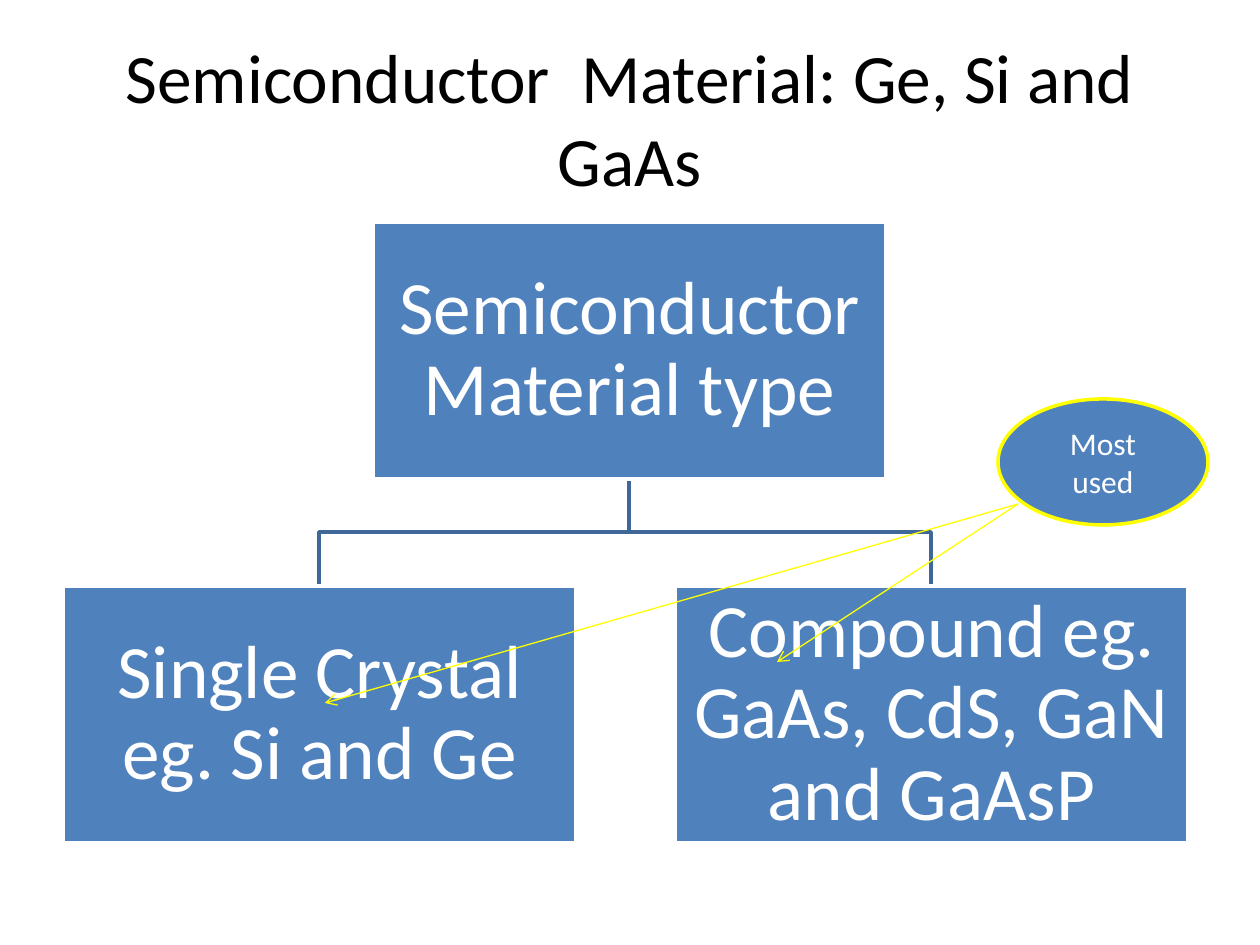
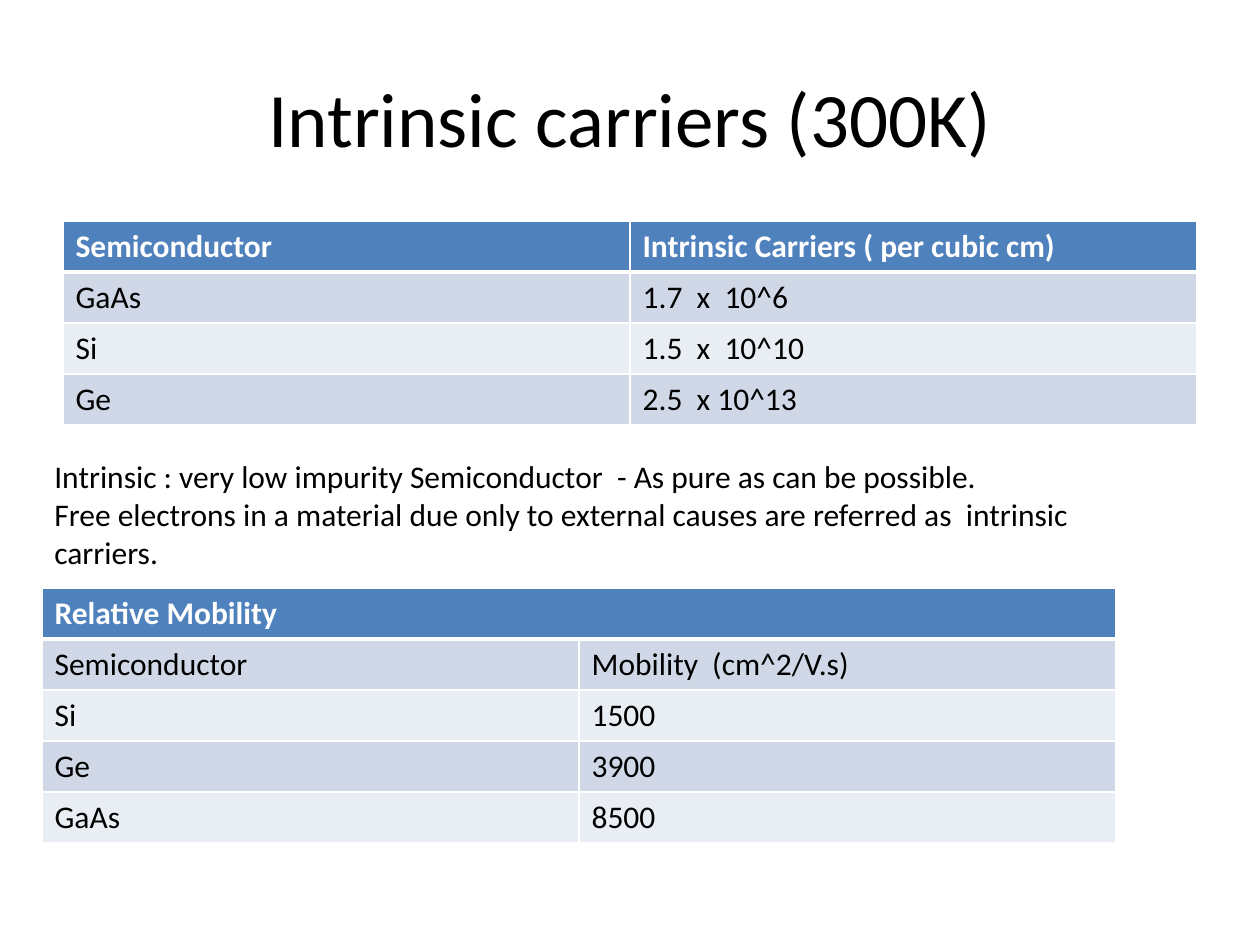
"""Build two slides on semiconductor material types and intrinsic carriers."""
from dataclasses import dataclass

from pptx import Presentation
from pptx.dml.color import RGBColor as RGB
from pptx.enum.shapes import MSO_CONNECTOR as LINK, MSO_SHAPE as SHAPE
from pptx.enum.text import MSO_ANCHOR as ANCHOR, PP_ALIGN as ALIGN
from pptx.oxml import parse_xml
from pptx.oxml.ns import nsdecls
from pptx.util import Pt


@dataclass(frozen=True)
class Theme:
    font: str = "Calibri"
    black: RGB = RGB(0, 0, 0)
    white: RGB = RGB(255, 255, 255)
    blue: RGB = RGB(0x4F, 0x81, 0xBD)
    navy: RGB = RGB(0x3F, 0x67, 0x97)
    yellow: RGB = RGB(255, 255, 0)
    bands: tuple = (RGB(0xE9, 0xED, 0xF4), RGB(0xD0, 0xD8, 0xE8))
    node: int = 43
    body: int = 18


look = Theme()
PX = 914400 / 126


def px(*nums):
    return [round(n * PX) for n in nums]


def write(frame, lines, size, color, align=ALIGN.LEFT, bold=False, pitch=None):
    frame.word_wrap = True
    for i, line in enumerate(lines):
        para = frame.add_paragraph() if i else frame.paragraphs[0]
        para.alignment = align
        para.line_spacing = pitch
        run = para.add_run()
        run.text = line
        run.font.name = look.font
        run.font.size = Pt(size)
        run.font.bold = bold
        run.font.color.rgb = color


deck = Presentation()
deck.slide_width, deck.slide_height = px(1260, 945)

titles = [
    ("Semiconductor  Material: Ge, Si and GaAs", 39.6),
    ("Intrinsic carriers (300K)", 44),
]
slides = []
for title, size in titles:
    slide = deck.slides.add_slide(deck.slide_layouts[6])
    frame = slide.shapes.add_textbox(*px(63, 38, 1134, 158)).text_frame
    frame.vertical_anchor = ANCHOR.MIDDLE
    write(frame, [title], size, look.black, ALIGN.CENTER)
    slides.append(slide)

types, carriers = (slide.shapes for slide in slides)

wide, high = 513, 257
root = (373, 222, "Semiconductor Material type")
kids = [
    (675, 586, "Compound eg. GaAs, CdS, GaN and GaAsP"),
    (63, 586, "Single Crystal eg. Si and Ge"),
]
stem, foot = root[0] + wide // 2, root[1] + high
for left, top, _ in kids:
    end, mid = left + wide // 2, (foot + top) // 2
    path = types.build_freeform(stem, foot, scale=PX)
    path.add_line_segments([(stem, mid), (end, mid), (end, top)], close=False)
    elbow = path.convert_to_shape()
    elbow.shadow.inherit = False
    elbow.fill.background()
    elbow.line.color.rgb = look.navy
    elbow.line.width = Pt(2)

for left, top, text in [root, *kids]:
    box = types.add_shape(SHAPE.RECTANGLE, *px(left, top, wide, high))
    box.shadow.inherit = False
    box.fill.solid()
    box.fill.fore_color.rgb = look.blue
    box.line.color.rgb = look.white
    box.line.width = Pt(2)
    frame = box.text_frame
    frame.vertical_anchor = ANCHOR.MIDDLE
    for side in ("left", "right", "top", "bottom"):
        setattr(frame, f"margin_{side}", px(4)[0])
    write(frame, [text], look.node, look.white, ALIGN.CENTER, pitch=0.9)

for tip in [(777, 662), (325, 703)]:
    arrow = types.add_connector(LINK.STRAIGHT, *px(1018, 504, *tip))
    arrow.line.color.rgb = look.yellow
    arrow.line.width = Pt(0.75)
    head = parse_xml(f'<a:tailEnd {nsdecls("a")} type="arrow"/>')
    arrow.line._get_or_add_ln().append(head)
    arrow._element.spPr.append(parse_xml(f'<a:effectLst {nsdecls("a")}/>'))

oval = types.add_shape(SHAPE.OVAL, *px(998, 399, 210, 126))
oval.shadow.inherit = False
oval.fill.solid()
oval.fill.fore_color.rgb = look.blue
oval.line.color.rgb = look.yellow
oval.line.width = Pt(2)
oval.text_frame.vertical_anchor = ANCHOR.MIDDLE
write(oval.text_frame, ["Most used"], look.body, look.white, ALIGN.CENTER)

notes = [
    "Intrinsic : very low impurity Semiconductor  - As pure as can be possible.",
    "Free electrons in a material due only to external causes are referred as  intrinsic carriers.",
]
frame = carriers.add_textbox(*px(42, 451, 1071, 127)).text_frame
write(frame, notes, look.body, look.black)

tables = [
    (63, 221, 567, [
        ("Semiconductor", "Intrinsic Carriers ( per cubic cm)"),
        ("GaAs", "1.7  x  10^6"),
        ("Si", "1.5  x  10^10"),
        ("Ge", "2.5  x 10^13"),
    ]),
    (42, 588, 537, [
        ("Relative Mobility",),
        ("Semiconductor", "Mobility  (cm^2/V.s)"),
        ("Si", "1500"),
        ("Ge", "3900"),
        ("GaAs", "8500"),
    ]),
]
for left, top, col, rows in tables:
    area = px(left, top, 2 * col, 51 * len(rows))
    grid = carriers.add_table(len(rows), 2, *area).table
    if len(rows[0]) == 1:
        grid.cell(0, 0).merge(grid.cell(0, 1))
    for r, row in enumerate(rows):
        for c in range(2):
            cell = grid.cell(r, c)
            edges = {"L": 1, "R": 1, "T": 3 if r == 1 else 1, "B": 1 if r else 3}
            for side, width in edges.items():
                cell._tc.get_or_add_tcPr().append(parse_xml(
                    f'<a:ln{side} {nsdecls("a")} w="{Pt(width)}"><a:solidFill>'
                    f'<a:srgbClr val="{look.white}"/></a:solidFill></a:ln{side}>'))
            cell.fill.solid()
            cell.fill.fore_color.rgb = look.bands[r % 2] if r else look.blue
            color = look.black if r else look.white
            write(cell.text_frame, row[c:c + 1], look.body, color, bold=r == 0)

deck.save("out.pptx")
